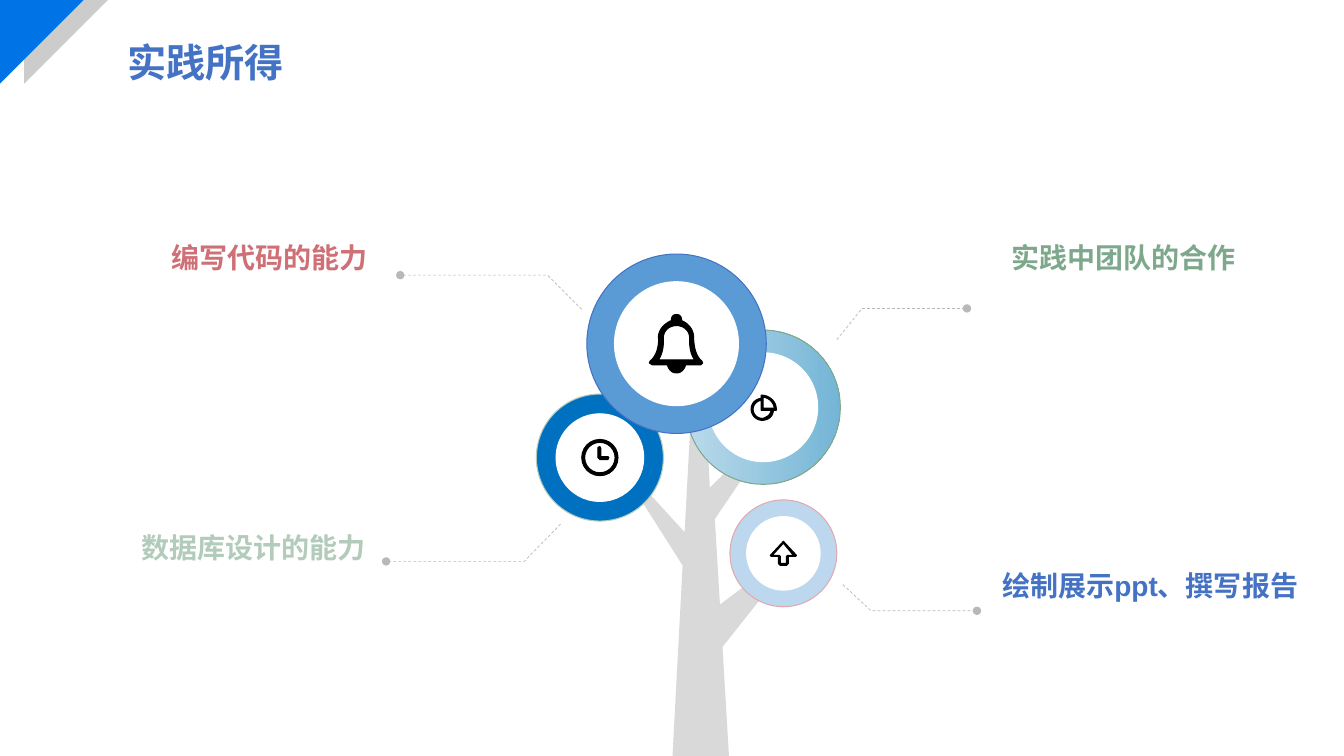
from dataclasses import dataclass

from lxml.etree import SubElement
from pptx import Presentation
from pptx.dml.color import RGBColor
from pptx.enum.dml import MSO_LINE
from pptx.enum.shapes import MSO_SHAPE
from pptx.enum.text import MSO_ANCHOR, MSO_AUTO_SIZE, PP_ALIGN
from pptx.oxml.ns import qn
from pptx.util import Inches, Pt


@dataclass(frozen=True)
class Theme:
    """Colours, font and sizes of the slide."""

    font: str = "Arial"
    head: int = 28
    label: int = 20
    edge: float = 0.75
    thin: float = 0.5
    white: str = "FFFFFF"
    black: str = "000000"
    blue: str = "4472C4"
    sky: str = "5B9BD5"
    deep: str = "0070C0"
    pale: str = "BDD7EE"
    mist: tuple = ("BADAEB", "74B5D6")
    red: str = "CE7075"
    pink: str = "E2A9AC"
    green: str = "7EA88C"
    mint: str = "B2CBBA"
    bark: str = "D9D9D9"
    wire: str = "B8B8B8"
    shade: str = "CCCCCC"
    flag: str = "0073E6"


def write(frame, text, *, font, size, color, align=PP_ALIGN.LEFT, anchor=MSO_ANCHOR.BOTTOM):
    """Put bold text in a frame with the given format."""
    frame.word_wrap = True
    frame.auto_size = MSO_AUTO_SIZE.NONE
    frame.vertical_anchor = anchor
    line = frame.paragraphs[0]
    line.alignment = align
    run = line.add_run()
    run.text = text
    run.font.name = font
    run.font.size = Pt(size)
    run.font.bold = True
    run.font.color.rgb = RGBColor.from_string(color)
    SubElement(run.font._element, qn("a:ea"), typeface=font)


def trace(start, *steps):
    """Turn line ends and cubic curves into a list of points."""
    points = [start]
    for step in steps:
        if len(step) == 2:
            points.append(step)
            continue
        x, y = points[-1]
        a, b, c, d, e, f = step
        for i in range(1, 13):
            t = i / 12
            u = 1 - t
            near, left, right, far = u**3, 3 * u * u * t, 3 * u * t * t, t**3
            points.append((near * x + left * a + right * c + far * e,
                           near * y + left * b + right * d + far * f))
    return points


class Board:
    """Draw styled elements on the current slide."""

    def __init__(self, slide, theme):
        """Keep the slide and its style."""
        self.slide = slide
        self.theme = theme

    def paint(self, shape, fill=None, line=None, width=0.75):
        """Set the fill and line of a shape."""
        shape.shadow.inherit = False
        if fill is None:
            shape.fill.background()
        elif isinstance(fill, tuple):
            shape.fill.gradient()
            shape.fill.gradient_angle = 0
            for stop, tone in zip(shape.fill.gradient_stops, fill):
                stop.color.rgb = RGBColor.from_string(tone)
        else:
            shape.fill.solid()
            shape.fill.fore_color.rgb = RGBColor.from_string(fill)
        if line is None:
            shape.line.fill.background()
        else:
            shape.line.color.rgb = RGBColor.from_string(line)
            shape.line.width = Pt(width)
        return shape

    def title(self, text, box):
        """Fill and place the title."""
        head = self.slide.shapes.title
        head.left, head.top, head.width, head.height = map(Inches, box)
        write(head.text_frame, text, font=self.theme.font, size=self.theme.head,
              color=self.theme.blue, anchor=MSO_ANCHOR.MIDDLE)

    def label(self, text, box, color, align=PP_ALIGN.LEFT):
        """Add one label."""
        frame = self.slide.shapes.add_textbox(*map(Inches, box)).text_frame
        write(frame, text, font=self.theme.font, size=self.theme.label, color=color, align=align)

    def form(self, kind, box, fill, line=None, width=0.75, turn=0):
        """Add a preset shape."""
        shape = self.slide.shapes.add_shape(kind, *map(Inches, box))
        shape.rotation = turn
        return self.paint(shape, fill, line, width)

    def outline(self, parts, fill=None, line=None, width=0.75, close=True):
        """Add a free outline made of one or more parts."""
        parts = [[(Inches(x), Inches(y)) for x, y in part] for part in parts]
        pen = self.slide.shapes.build_freeform(*parts[0][0])
        for i, part in enumerate(parts):
            if i:
                pen.move_to(*part[0])
            pen.add_line_segments(part[1:], close=close)
        return self.paint(pen.convert_to_shape(), fill, line, width)

    def icon(self, *parts):
        """Add a black icon."""
        self.outline(parts, self.theme.black, self.theme.black, self.theme.edge)

    def lead(self, points):
        """Add a dashed leader that ends in a dot."""
        wire = self.outline([points], line=self.theme.wire, width=self.theme.thin, close=False)
        wire.line.dash_style = MSO_LINE.DASH
        SubElement(wire.line._get_or_add_ln(), qn("a:tailEnd"), type="oval")

    def ring(self, x, y, size, hole, fill, line):
        """Add a coloured disc with a white centre."""
        white = self.theme.white
        for span, tone, rim in ((size, fill, line), (hole, white, white)):
            self.form(MSO_SHAPE.OVAL, (x - span / 2, y - span / 2, span, span),
                      tone, rim, self.theme.edge)


def draw(board):
    """Draw the tree with its four labels."""
    hue = board.theme
    for points in (
        [(5.77, 3.07), (5.43, 2.73), (3.97, 2.73)],
        [(5.56, 5.2), (5.2, 5.57), (3.83, 5.57)],
        [(8.3, 3.37), (8.55, 3.06), (9.59, 3.06)],
        [(8.36, 5.8), (8.64, 6.06), (9.69, 6.06)],
    ):
        board.lead(points)

    board.outline([[(6.67, 7.5), (7.23, 7.5), (7.09, 5.15), (7.86, 4.01), (7.04, 4.84),
                    (6.93, 2.67), (6.79, 5.28), (6.04, 4.46), (6.77, 5.61)]], hue.bark)

    board.ring(7.57, 4.04, 1.53, 1.08, hue.mist, hue.green)
    board.icon(
        trace((7.7, 4.06), (7.7, 3.98, 7.63, 3.92, 7.55, 3.92), (7.55, 3.95),
              (7.49, 3.96, 7.45, 4, 7.45, 4.06), (7.45, 4.12, 7.5, 4.17, 7.56, 4.17),
              (7.62, 4.17, 7.67, 4.13, 7.67, 4.07), (7.7, 4.07)),
        trace((7.61, 4.13), (7.59, 4.14, 7.58, 4.15, 7.56, 4.15),
              (7.51, 4.15, 7.47, 4.11, 7.47, 4.06), (7.47, 4.02, 7.5, 3.98, 7.55, 3.97),
              (7.55, 4.07), (7.65, 4.07), (7.64, 4.1, 7.63, 4.12, 7.61, 4.13)),
        trace((7.57, 4.05), (7.57, 3.94), (7.63, 3.95, 7.67, 3.99, 7.68, 4.05)),
    )

    board.ring(5.95, 4.54, 1.26, 0.87, hue.deep, hue.mint)
    clock = board.form(MSO_SHAPE.DONUT, (5.77, 4.36, 0.36, 0.36), hue.black, hue.black, hue.edge)
    clock.adjustments[0] = 0.08
    board.icon([(5.93, 4.44), (5.95, 4.43), (5.96, 4.45), (5.96, 4.53), (6.03, 4.53),
                (6.04, 4.54), (6.03, 4.56), (5.95, 4.56), (5.93, 4.54)])

    board.ring(6.71, 3.41, 1.78, 1.23, hue.sky, hue.blue)
    board.icon(
        trace((6.96, 3.58), (6.88, 3.52, 6.88, 3.36, 6.88, 3.35),
              (6.88, 3.27, 6.83, 3.21, 6.76, 3.18), (6.76, 3.17),
              (6.76, 3.14, 6.74, 3.12, 6.71, 3.12), (6.68, 3.12, 6.66, 3.14, 6.66, 3.17),
              (6.66, 3.18), (6.59, 3.21, 6.53, 3.27, 6.53, 3.35),
              (6.54, 3.4, 6.52, 3.53, 6.45, 3.58), (6.44, 3.6), (6.47, 3.62), (6.62, 3.62),
              (6.63, 3.66, 6.66, 3.7, 6.71, 3.7), (6.76, 3.7, 6.79, 3.66, 6.8, 3.62),
              (6.95, 3.62), (6.97, 3.6)),
        trace((6.69, 3.57), (6.53, 3.57), (6.59, 3.49, 6.58, 3.36, 6.58, 3.35),
              (6.58, 3.28, 6.64, 3.23, 6.71, 3.23), (6.78, 3.23, 6.84, 3.28, 6.84, 3.35),
              (6.84, 3.36, 6.83, 3.49, 6.89, 3.57)),
    )

    board.form(MSO_SHAPE.ISOSCELES_TRIANGLE, (7.27, 5.15, 0.38, 1.47),
               hue.bark, hue.bark, 1, turn=45.8)
    board.ring(7.77, 5.49, 1.06, 0.73, hue.pale, hue.pink)
    board.icon(
        [(7.77, 5.37), (7.9, 5.51), (7.89, 5.52), (7.82, 5.52), (7.82, 5.59), (7.8, 5.61),
         (7.74, 5.61), (7.72, 5.59), (7.72, 5.52), (7.65, 5.52), (7.64, 5.51)],
        [(7.77, 5.39), (7.87, 5.51), (7.81, 5.51), (7.8, 5.52), (7.8, 5.59),
         (7.74, 5.59), (7.74, 5.52), (7.73, 5.51), (7.66, 5.51)],
    )

    board.label("编写代码的能力", (0.68, 2.34, 3.07, 0.43), hue.red, PP_ALIGN.RIGHT)
    board.label("数据库设计的能力", (0.66, 5.22, 3.07, 0.43), hue.mint, PP_ALIGN.RIGHT)
    board.label("实践中团队的合作", (9.93, 2.34, 3.07, 0.43), hue.green)
    board.label("绘制展示ppt、撰写报告", (9.84, 5.33, 3.16, 0.69), hue.blue)
    board.title("实践所得", (1.16, 0.14, 6.61, 0.94))
    for left, tone in ((0.24, hue.shade), (0, hue.flag)):
        board.form(MSO_SHAPE.RIGHT_TRIANGLE, (left, 0, 0.83, 0.83), tone, turn=90)


def main():
    """Build and save the slide."""
    deck = Presentation()
    deck.slide_width, deck.slide_height = Inches(13.33), Inches(7.5)
    draw(Board(deck.slides.add_slide(deck.slide_layouts[5]), Theme()))
    deck.save("out.pptx")


if __name__ == "__main__":
    main()
